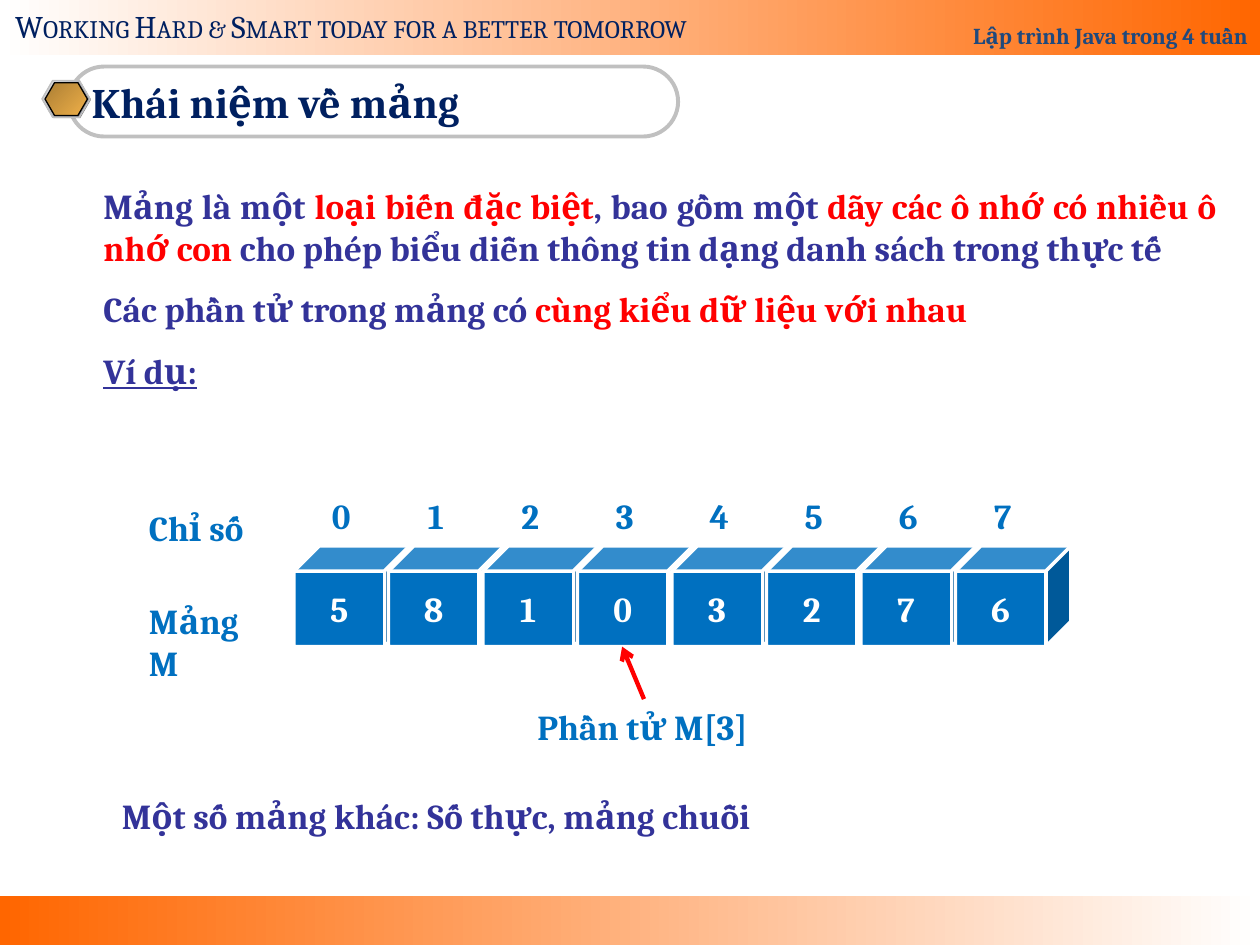
from pptx import Presentation
from pptx.dml.color import RGBColor
from pptx.enum.shapes import MSO_CONNECTOR, MSO_SHAPE
from pptx.enum.text import MSO_ANCHOR, PP_ALIGN
from pptx.oxml.ns import qn
from pptx.util import Pt
from lxml.etree import SubElement

WHITE = RGBColor(0xFF, 0xFF, 0xFF)
BLACK = RGBColor(0x00, 0x00, 0x00)
ORANGE = RGBColor(0xFF, 0x66, 0x00)
SLATE = RGBColor(0x1F, 0x49, 0x7D)
NAVY = RGBColor(0x00, 0x20, 0x60)
BLUE = RGBColor(0x00, 0x70, 0xC0)
INDIGO = RGBColor(0x33, 0x33, 0x99)
RED = RGBColor(0xFF, 0x00, 0x00)
SILVER = RGBColor(0xC0, 0xC0, 0xC0)
GREY = RGBColor(0x80, 0x80, 0x80)
PALE = RGBColor(0xE6, 0xE6, 0xE6)
STEEL = RGBColor(0x7D, 0x84, 0x96)
BRONZE = RGBColor(0xAB, 0x7E, 0x34)
GOLD = RGBColor(0xEF, 0xB0, 0x49)

deck = Presentation()
deck.slide_width, deck.slide_height = Pt(720), Pt(540)
slide = deck.slides.add_slide(deck.slide_layouts[6])
shapes = slide.shapes


def draw(kind, x, y, w, h, fill=(), line=None, width=0.75, angle=0):
    """Add a shape with no fill, a solid colour or a two-colour gradient."""
    shape = shapes.add_shape(kind, Pt(x), Pt(y), Pt(w), Pt(h))
    shape.shadow.inherit = False
    if len(fill) == 2:
        shape.fill.gradient()
        shape.fill.gradient_angle = angle
        for stop, color in zip(shape.fill.gradient_stops, fill):
            stop.color.rgb = color
    elif fill:
        shape.fill.solid()
        shape.fill.fore_color.rgb = fill[0]
    else:
        shape.fill.background()
    if line is None:
        shape.line.fill.background()
    else:
        shape.line.color.rgb = line
        shape.line.width = Pt(width)
    return shape


def write(text, shape=None, at=None, size=20, color=BLUE, bold=True, under=None,
          align=PP_ALIGN.LEFT, anchor=MSO_ANCHOR.TOP, space=None):
    """Write paragraphs, each a list of (text, colour) runs, or one plain line."""
    shape = shape or shapes.add_textbox(*map(Pt, at))
    frame = shape.text_frame
    frame.word_wrap = True
    frame.vertical_anchor = anchor
    rows = [[(text, color)]] if isinstance(text, str) else text
    for i, row in enumerate(rows):
        para = frame.add_paragraph() if i else frame.paragraphs[0]
        para.alignment = align
        if i:
            para.space_before = Pt(11)
        if space:
            para.line_spacing = space
        for words, tint in row:
            run = para.add_run()
            run.text = words
            font = run.font
            font.name, font.size, font.bold = "Cambria", Pt(size), bold
            font.color.rgb = tint
            font.underline = words == under
    return frame


# Bottom and top bars
draw(MSO_SHAPE.RECTANGLE, 0, 512, 720, 28, (ORANGE, WHITE))
bar = draw(MSO_SHAPE.RECTANGLE, 0, 0, 720, 31.5, (WHITE, ORANGE))
write("Lập trình Java trong 4 tuần", bar, size=13, color=SLATE,
      align=PP_ALIGN.RIGHT, anchor=MSO_ANCHOR.BOTTOM, space=1.8)
motto = write("Working Hard & Smart today for a better tomorrow",
              at=(1.5, 0.5, 425, 29), size=18, color=NAVY, bold=False)
motto.paragraphs[0].runs[0].font._element.set("cap", "small")

# Title pill with its hexagon
pill = draw(MSO_SHAPE.ROUNDED_RECTANGLE, 39.5, 38, 348, 40, line=SILVER, width=2.25)
pill.adjustments[0] = 0.5
write("Khái niệm về mảng", pill, size=24, color=NAVY, anchor=MSO_ANCHOR.MIDDLE)
for x, y, w, h, fill, line in [
    (24.5, 46.5, 27.5, 21, (GREY,), None),
    (24, 46, 27.5, 21, (PALE, STEEL), SILVER),
    (25.75, 47.25, 24.25, 18.75, (BRONZE, GOLD), BLACK),
]:
    hexagon = draw(MSO_SHAPE.HEXAGON, x, y, w, h, fill, line, angle=315)
    hexagon.adjustments[0] = 0.29

# Definition
write([
    [("Mảng là một ", INDIGO), ("loại biến đặc biệt", RED),
     (", bao gồm một ", INDIGO), ("dãy các ô nhớ có nhiều ô nhớ con ", RED),
     ("cho phép biểu diễn thông tin dạng danh sách trong thực tế", INDIGO)],
    [("Các phần tử trong mảng có ", INDIGO), ("cùng kiểu dữ liệu với nhau", RED)],
    [("Ví dụ:", INDIGO)],
], at=(52, 102, 650, 128), under="Ví dụ:", align=PP_ALIGN.JUSTIFY)

# Array cells, then their indexes
mid = dict(align=PP_ALIGN.CENTER, anchor=MSO_ANCHOR.MIDDLE)
left, step = 168, 54
cells = [5, 8, 1, 0, 3, 2, 7, 6]
for i, value in enumerate(cells):
    cube = draw(MSO_SHAPE.CUBE, left + i * step, 312, 66, 57.5, (BLUE,), WHITE, 2)
    write(str(value), cube, color=WHITE, **mid)
for i in range(len(cells)):
    write(str(i), at=(left + i * step, 279.5, step, 30), **mid)

# Labels
write("Mảng M", at=(78, 339, 70, 32))
write("Chỉ số", at=(78, 286, 80, 32))
write("Phần tử M[3]", at=(300, 399.5, 145, 32))

# Arrow to the fourth cell
arrow = shapes.add_connector(MSO_CONNECTOR.STRAIGHT, Pt(368), Pt(399.5), Pt(355.5), Pt(369.5))
arrow.line.color.rgb = RED
arrow.line.width = Pt(2.5)
SubElement(arrow.line._get_or_add_ln(), qn("a:tailEnd"), type="arrow")
SubElement(arrow._element.spPr, qn("a:effectLst"))

# Closing line
write("Một số mảng khác: Số thực, mảng chuỗi", at=(62.5, 450.5, 650, 32),
      color=INDIGO, align=PP_ALIGN.JUSTIFY)

deck.save("out.pptx")
